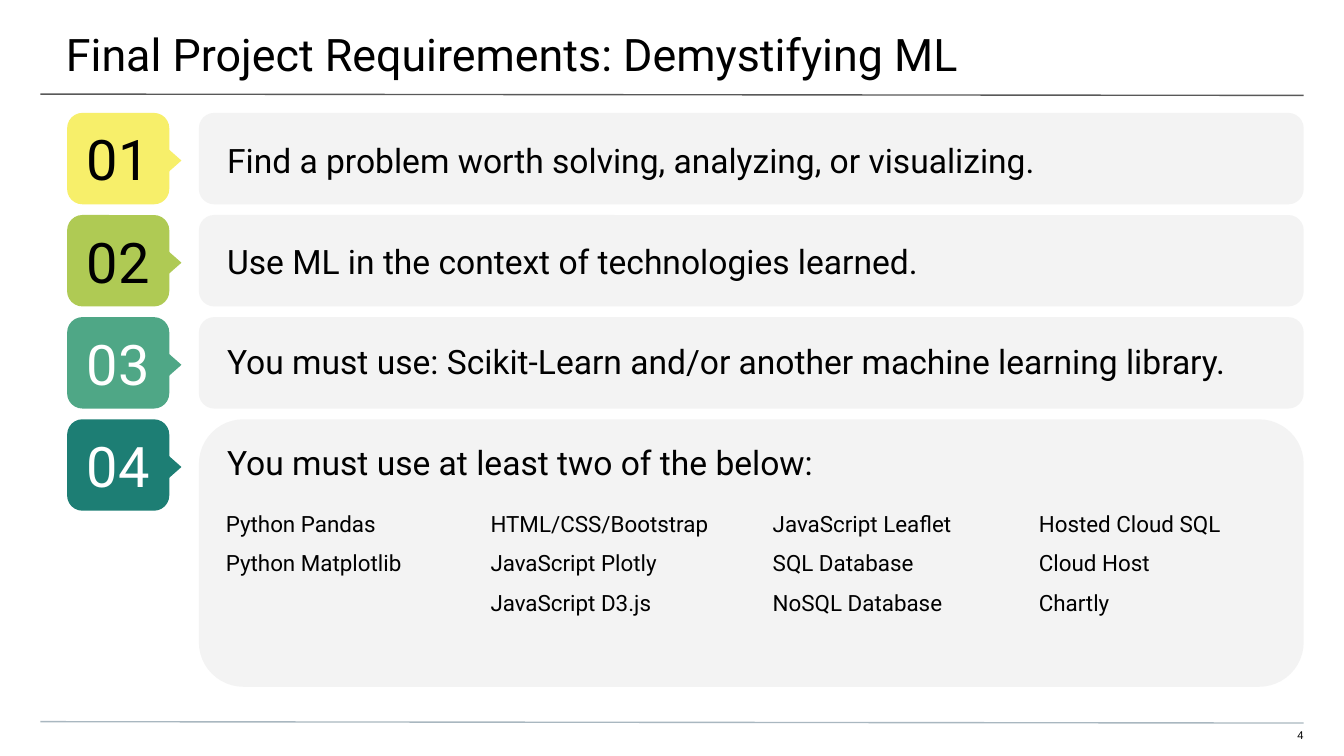
from lxml import etree
from pptx import Presentation
from pptx.dml.color import RGBColor
from pptx.enum import shapes, text
from pptx.oxml.ns import qn
from pptx.util import Inches, Pt

BLACK = RGBColor(0x00, 0x00, 0x00)
WHITE = RGBColor(0xFF, 0xFF, 0xFF)
PANEL = RGBColor(0xF3, 0xF3, 0xF3)
HEADER_RULE = RGBColor(0x59, 0x59, 0x59)
FOOTER_RULE = RGBColor(0xA9, 0xB7, 0xC0)
YELLOW = RGBColor(0xF7, 0xEF, 0x6A)
LIME = RGBColor(0xAF, 0xCA, 0x54)
GREEN = RGBColor(0x4F, 0xA7, 0x86)
TEAL = RGBColor(0x1D, 0x7E, 0x74)

REQUIREMENTS = [
    ("Find a problem worth solving, analyzing, or visualizing.", YELLOW, BLACK),
    ("Use ML in the context of technologies learned.", LIME, BLACK),
    ("You must use: Scikit-Learn and/or another machine learning library.", GREEN, WHITE),
    ("You must use at least two of the below:", TEAL, WHITE),
]
TECHNOLOGIES = [
    ["Python Pandas", "Python Matplotlib"],
    ["HTML/CSS/Bootstrap", "JavaScript Plotly", "JavaScript D3.js"],
    ["JavaScript Leaflet", "SQL Database", "NoSQL Database"],
    ["Hosted Cloud SQL", "Cloud Host", "Chartly"],
]
COLUMN_WIDTHS = [1.97, 2.1, 1.98, 1.97]
ROW_HEIGHT, ROW_PITCH, LAST_HEIGHT = 0.68, 0.76, 1.99
LABEL_PITCH = 0.75


def box(left, top, width, height):
    return [Inches(v) for v in (left, top, width, height)]


def set_margins(frame, left, top, right, bottom):
    frame.margin_left, frame.margin_top = Inches(left), Inches(top)
    frame.margin_right, frame.margin_bottom = Inches(right), Inches(bottom)


def style(paragraph, size, color=BLACK, name="Roboto", align=text.PP_ALIGN.LEFT):
    paragraph.alignment = align
    paragraph.font.size = Pt(size)
    paragraph.font.name = name
    paragraph.font.color.rgb = color


def add_filled(parent, kind, place, color):
    shape = parent.add_shape(kind, *box(*place))
    shape.shadow.inherit = False
    shape.fill.solid()
    shape.fill.fore_color.rgb = color
    shape.line.fill.background()
    return shape


def add_rule(slide, top, color):
    rule = slide.shapes.add_connector(
        shapes.MSO_CONNECTOR.STRAIGHT, *box(0.3, top, 9.7, top + 0.01))
    rule.line.color.rgb = color
    rule.line.width = Pt(0.75)
    etree.SubElement(rule._element.spPr, qn("a:effectLst"))


def add_title(slide, wording):
    title = slide.shapes.title
    title.left, title.top, title.width, title.height = box(-0.01, 0, 10.03, 0.58)
    frame = title.text_frame
    frame.text = wording
    frame.auto_size = text.MSO_AUTO_SIZE.NONE
    frame.vertical_anchor = text.MSO_ANCHOR.TOP
    set_margins(frame, 0.5, 0.2, 0.3, 0.1)
    style(frame.paragraphs[0], 24)


def add_page_number(slide, number):
    frame = slide.shapes.add_textbox(*box(9.41, 5.42, 0.29, 0.12)).text_frame
    frame.word_wrap = True
    frame.text = str(number)
    set_margins(frame, 0, 0, 0, 0.1)
    style(frame.paragraphs[0], 6, name="Arial", align=text.PP_ALIGN.RIGHT)


def add_badge(slide, left, top, number, fill, ink):
    """Numbered tile with a pointer on its right side."""
    group = slide.shapes.add_group_shape().shapes
    tile = add_filled(group, shapes.MSO_SHAPE.ROUNDED_RECTANGLE,
                      (left, top, 0.76, ROW_HEIGHT), fill)
    frame = tile.text_frame
    frame.text = f"{number:02}"
    frame.vertical_anchor = text.MSO_ANCHOR.MIDDLE
    set_margins(frame, 0.1, 0.1, 0.1, 0.1)
    style(frame.paragraphs[0], 30, ink, align=text.PP_ALIGN.CENTER)
    pointer = add_filled(group, shapes.MSO_SHAPE.FLOWCHART_EXTRACT,
                         (left + 0.56, top + 0.25, 0.37, 0.21), fill)
    pointer.rotation = 90


def add_label(slide, left, top, wording):
    frame = slide.shapes.add_textbox(*box(left, top, 10.03, 0.66)).text_frame
    frame.word_wrap = True
    frame.text = wording
    frame.vertical_anchor = text.MSO_ANCHOR.MIDDLE
    set_margins(frame, 1.7, 0, 0.5, 0)
    style(frame.paragraphs[0], 18)


def add_requirements(slide, left, top):
    """Stack of numbered panels, the last one taller to hold the table."""
    for index, (wording, fill, ink) in enumerate(REQUIREMENTS):
        is_last = index == len(REQUIREMENTS) - 1
        row_top = top + index * ROW_PITCH
        add_filled(slide.shapes, shapes.MSO_SHAPE.ROUNDED_RECTANGLE,
                   (left + 0.98, row_top, 8.22,
                    LAST_HEIGHT if is_last else ROW_HEIGHT), PANEL)
        add_badge(slide, left, row_top, index + 1, fill, ink)
        add_label(slide, left - 0.51, top + 0.02 + index * LABEL_PITCH, wording)


def clear_borders(cell):
    properties = cell._tc.get_or_add_tcPr()
    for side in ("a:lnL", "a:lnR", "a:lnT", "a:lnB"):
        border = etree.SubElement(properties, qn(side))
        etree.SubElement(border, qn("a:noFill"))


def add_technologies(slide, left, top, height):
    table = slide.shapes.add_table(
        1, len(TECHNOLOGIES), *box(left, top, sum(COLUMN_WIDTHS), height)).table
    table.first_row = table.horz_banding = False
    for column, width, cell, names in zip(
            table.columns, COLUMN_WIDTHS, table.rows[0].cells, TECHNOLOGIES):
        column.width = Inches(width)
        clear_borders(cell)
        cell.fill.background()
        set_margins(cell, 0.1, 0.1, 0.1, 0.1)
        cell.text = "\n".join(names)
        for paragraph in cell.text_frame.paragraphs:
            paragraph.line_spacing = 1.5
            style(paragraph, 12)


def main():
    deck = Presentation()
    deck.slide_width = Inches(10)
    deck.slide_height = deck.slide_width * 9 // 16
    slide = deck.slides.add_slide(deck.slide_layouts[5])
    add_rule(slide, 0.7, HEADER_RULE)
    add_rule(slide, 5.37, FOOTER_RULE)
    add_title(slide, "Final Project Requirements: Demystifying ML")
    add_requirements(slide, 0.5, 0.84)
    add_technologies(slide, 1.58, 3.61, 1.37)
    add_page_number(slide, 4)
    deck.save("out.pptx")


if __name__ == "__main__":
    main()
